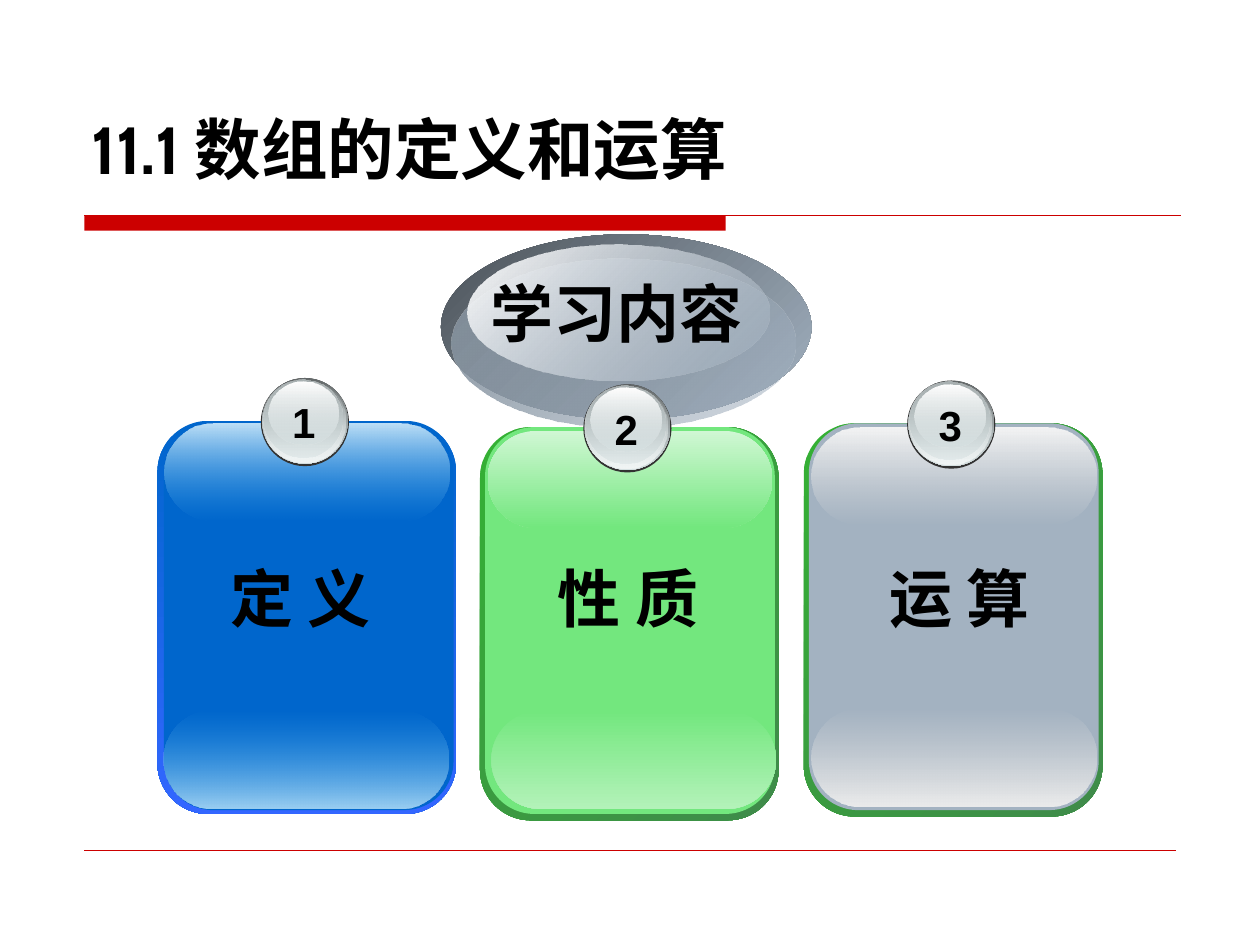
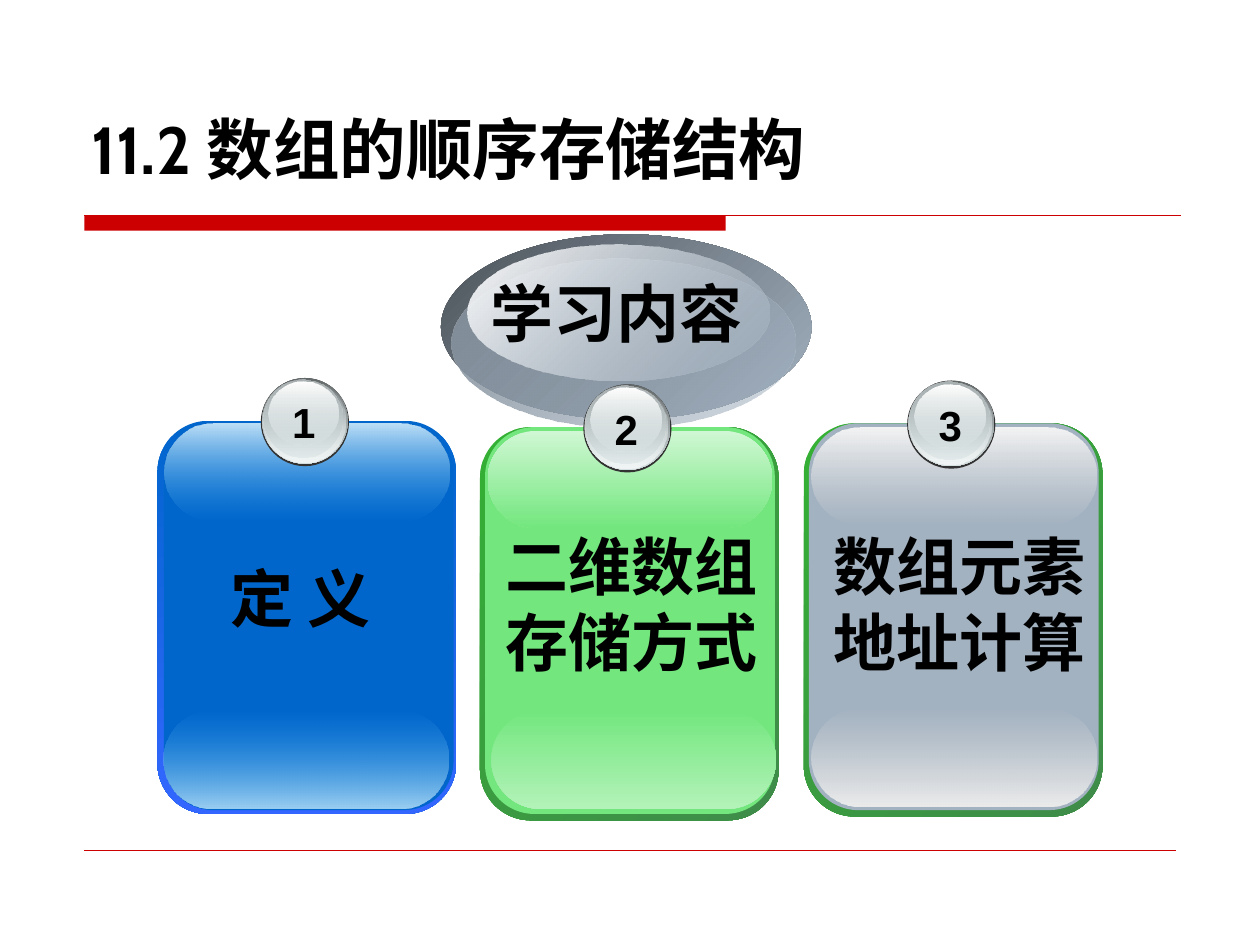
from dataclasses import dataclass

from lxml import etree
from pptx import Presentation
from pptx import util as u
from pptx.dml.color import RGBColor
from pptx.enum import shapes, text
from pptx.oxml import ns

EMU_PER_PX = 9144  # 100 px to the inch


@dataclass(frozen=True)
class Gradient:
    """Two-stop fill; the angle runs clockwise and opacity is in percent."""
    start: str
    end: str
    angle: int = 90
    start_opacity: int = 100
    end_opacity: int = 100


@dataclass(frozen=True)
class Theme:
    red: str = "CC0000"
    ink: str = "000000"
    body_font: str = "Arial"
    number_font: str = "Cabin"
    title_size: int = 38
    label_size: int = 36
    badge_size: int = 24
    green_frame: Gradient = Gradient("34B034", "3F8B4A", 45)


@dataclass(frozen=True)
class Card:
    frame_at: tuple
    face_at: tuple
    top_gloss_at: tuple
    bottom_gloss_at: tuple
    frame: Gradient
    face: str
    top_gloss: Gradient
    bottom_gloss: Gradient


THEME = Theme()

CARDS = [
    Card((125, 334), (130, 336), (131, 336), (130, 564),
         Gradient("0066CC", "3366FF"), "0066CC",
         Gradient("BEE0F7", "3CA1E6", end_opacity=0),
         Gradient("3CA1E6", "9BCFF2", start_opacity=0)),
    Card((381, 339), (385, 339), (387, 342), (390, 564),
         THEME.green_frame, "73E77E",
         Gradient("D0F7D4", "73E77E"), Gradient("73E77E", "B3F2B9")),
    Card((638, 336), (642, 336), (644, 339), (644, 562),
         THEME.green_frame, "A3B2C1",
         Gradient("F4F4F4", "DDDDDD", end_opacity=0),
         Gradient("DDDDDD", "ECECEC", start_opacity=0)),
]

# Offset from the badge corner, size, fill
BADGE_LAYERS = [
    (0, 0, 70, 70, "333333"),
    (1, 0, 68, 68, Gradient("636869", "D6E1E2")),
    (1, 1, 66, 66, Gradient("D6E1E2", "F1F5F5", start_opacity=0)),
    (2, 1, 63, 62, Gradient("AAB2B3", "D6E1E2", end_opacity=48)),
    (6, 3, 56, 50, Gradient("FFFFFF", "D6E1E2", end_opacity=38)),
]

HEADING_LAYERS = [
    (350, 186, 294, 147, Gradient("4B5259", "A3B2C1", 45)),
    (358, 205, 273, 134, Gradient("818D99", "A3B2C1", 45, end_opacity=48)),
    (371, 194, 240, 108, Gradient("FFFFFF", "A3B2C1", 45, end_opacity=38)),
]

# Section number, title, and one (label, box) for each card
SECTIONS = [
    ("11.1 ", "数组的定义和运算", [
        ("定 义", (127, 439, 223, 70)),
        ("性 质", (387, 439, 223, 70)),
        ("运 算", (642, 439, 239, 70))]),
    ("11.2 ", "数组的顺序存储结构", [
        ("定 义", (127, 439, 223, 70)),
        ("二维数组存储方式", (390, 414, 223, 130)),
        ("数组元素地址计算", (642, 414, 239, 130))]),
]


def px(*lengths):
    return [u.Emu(length * EMU_PER_PX) for length in lengths]


def color(value):
    return RGBColor.from_string(value)


def paint(shape, fill):
    """Fill a shape with a plain colour or a Gradient."""
    if isinstance(fill, str):
        shape.fill.solid()
        shape.fill.fore_color.rgb = color(fill)
        return
    shape.fill.gradient()
    shape.fill.gradient_angle = 360 - fill.angle
    for stop, value in zip(shape.fill.gradient_stops, (fill.start, fill.end)):
        stop.color.rgb = color(value)
    colors = shape._element.spPr.iter(ns.qn("a:srgbClr"))
    for element, opacity in zip(colors, (fill.start_opacity, fill.end_opacity)):
        if opacity < 100:
            alpha = etree.SubElement(element, ns.qn("a:alpha"))
            alpha.set("val", str(opacity * 1000))


def add_plain_shape(slide, kind, box, fill, corner=None):
    shape = slide.shapes.add_shape(kind, *px(*box))
    shape.shadow.inherit = False
    shape.line.fill.background()
    if corner is not None:
        shape.adjustments[0] = corner
    paint(shape, fill)


def add_rounded(slide, corner_at, size, fill, corner):
    add_plain_shape(slide, shapes.MSO_SHAPE.ROUNDED_RECTANGLE,
                    corner_at + size, fill, corner)


def add_ellipses(slide, layers, left=0, top=0):
    for x, y, width, height, fill in layers:
        add_plain_shape(slide, shapes.MSO_SHAPE.OVAL,
                        (left + x, top + y, width, height), fill)


def add_rule(slide, left, right, y, weight):
    rule = slide.shapes.add_connector(shapes.MSO_CONNECTOR.STRAIGHT,
                                      *px(left, y, right, y))
    rule.line.color.rgb = color(THEME.red)
    rule.line.width = u.Pt(weight)
    etree.SubElement(rule._element.spPr, ns.qn("a:effectLst"))


def style_font(font, size):
    font.size = u.Pt(size)
    font.bold = True
    font.color.rgb = color(THEME.ink)


def add_label(slide, words, box, size, wrap=True):
    frame = slide.shapes.add_textbox(*px(*box)).text_frame
    frame.word_wrap = wrap
    frame.auto_size = text.MSO_AUTO_SIZE.SHAPE_TO_FIT_TEXT
    paragraph = frame.paragraphs[0]
    paragraph.text = words
    paragraph.alignment = text.PP_ALIGN.CENTER
    paragraph.font.name = THEME.body_font
    style_font(paragraph.font, size)


def add_title(slide, number, title):
    frame = slide.shapes.add_textbox(*px(63, 21, 875, 133)).text_frame
    frame.word_wrap = True
    frame.vertical_anchor = text.MSO_ANCHOR.BOTTOM
    paragraph = frame.paragraphs[0]
    style_font(paragraph.font, THEME.title_size)
    for words, font in ((number, THEME.number_font), (title, THEME.body_font)):
        run = paragraph.add_run()
        run.text = words
        run.font.name = font


def add_bands(slide):
    add_plain_shape(slide, shapes.MSO_SHAPE.RECTANGLE,
                    (67, 171, 509, 12), THEME.red)
    add_rule(slide, 67, 937, 171, 0.75)
    add_rule(slide, 67, 933, 675, 0.25)


def add_heading(slide):
    add_ellipses(slide, HEADING_LAYERS)
    add_label(slide, "学习内容", (377, 213, 225, 70), THEME.label_size)


def add_badge(slide, number, left, top):
    add_ellipses(slide, BADGE_LAYERS, left, top)
    add_label(slide, str(number), (left + 15, top + 10, 38, 50),
              THEME.badge_size, wrap=False)


def add_card(slide, number, card):
    add_rounded(slide, card.frame_at, (237, 312), card.frame, 0.17)
    add_rounded(slide, card.face_at, (230, 307), card.face, 0.17)
    add_rounded(slide, card.bottom_gloss_at, (226, 78), card.bottom_gloss, 0.5)
    add_rounded(slide, card.top_gloss_at, (226, 77), card.top_gloss, 0.5)
    left, top = card.frame_at
    add_badge(slide, number, left + 82, top - 34)


def add_section(presentation, number, title, labels):
    slide = presentation.slides.add_slide(presentation.slide_layouts[6])
    add_bands(slide)
    add_title(slide, number, title)
    add_heading(slide)
    for position, (card, (words, box)) in enumerate(zip(CARDS, labels), 1):
        add_card(slide, position, card)
        add_label(slide, words, box, THEME.label_size)


def main():
    presentation = Presentation()
    presentation.slide_width, presentation.slide_height = px(1000, 750)
    for section in SECTIONS:
        add_section(presentation, *section)
    presentation.save("out.pptx")


if __name__ == "__main__":
    main()
